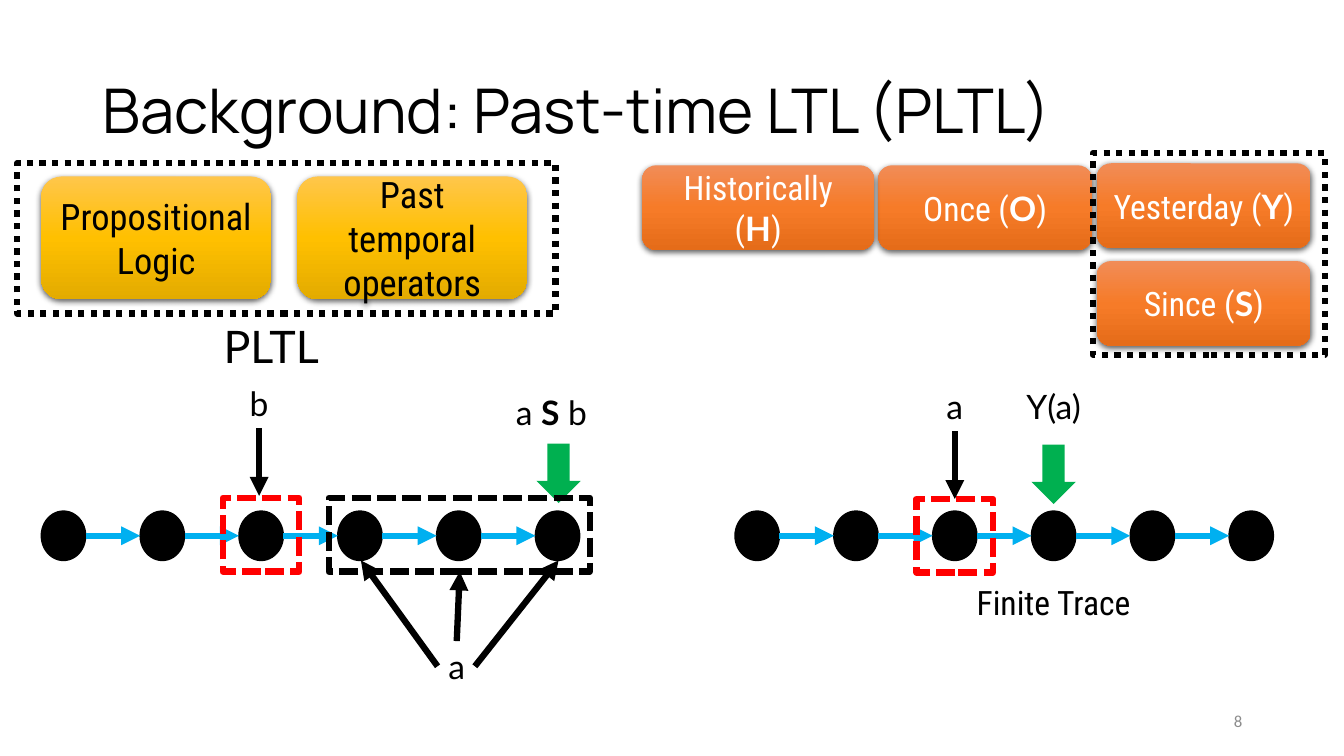
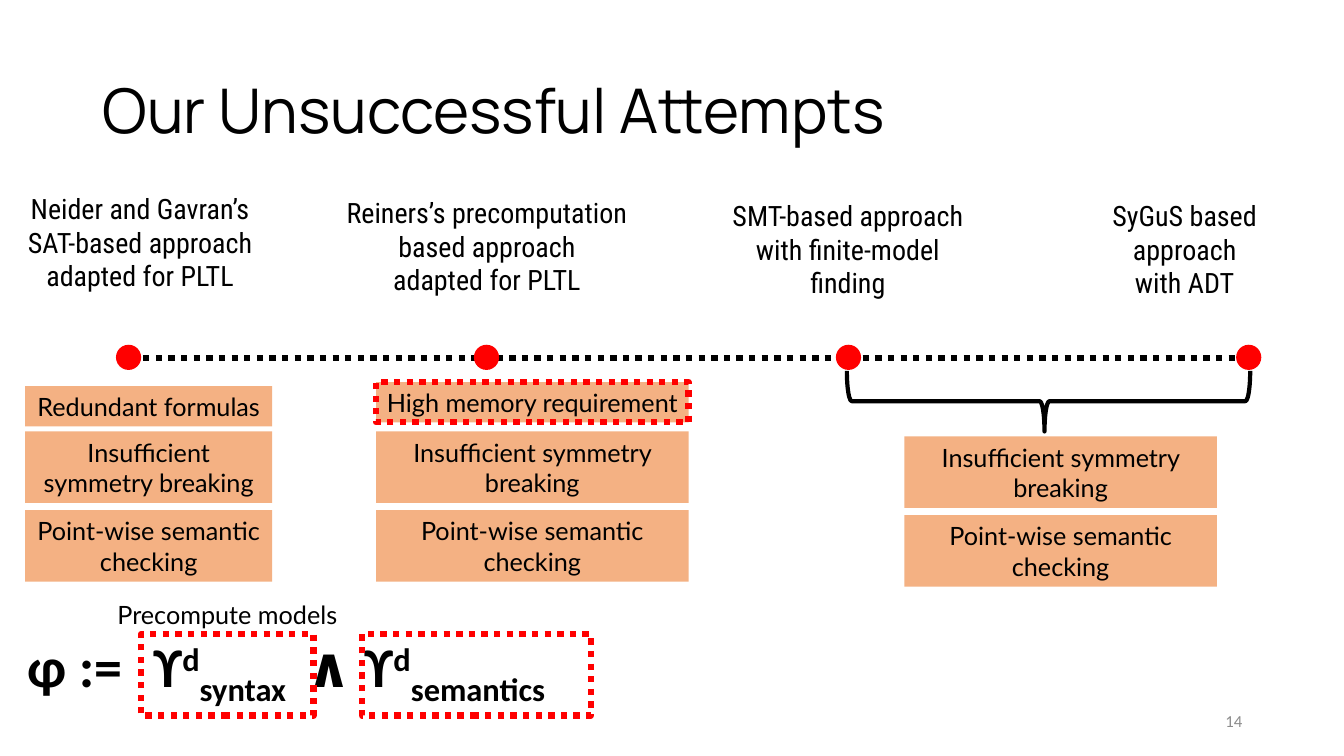
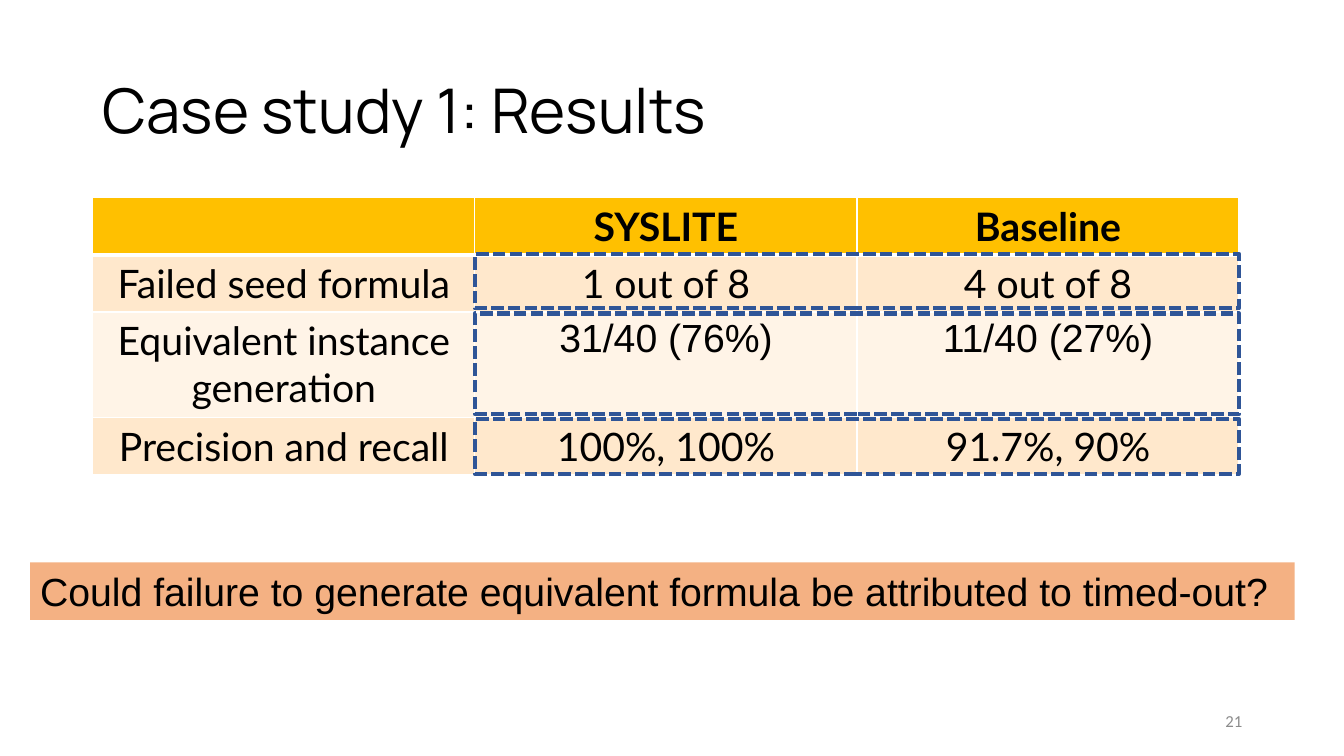
from pptx import Presentation
from pptx.dml.color import RGBColor
from pptx.enum.dml import MSO_LINE
from pptx.enum.shapes import MSO_CONNECTOR, MSO_SHAPE
from pptx.enum.text import MSO_ANCHOR, PP_ALIGN
from pptx.oxml import parse_xml
from pptx.oxml.ns import nsdecls
from pptx.util import Inches, Pt

# Shared look
BLACK = RGBColor(0x00, 0x00, 0x00)
WHITE = RGBColor(0xFF, 0xFF, 0xFF)
GREY = RGBColor(0x8C, 0x8C, 0x8C)
RED = RGBColor(0xFF, 0x00, 0x00)
GREEN = RGBColor(0x00, 0xB0, 0x50)
SKY = RGBColor(0x00, 0xB0, 0xF0)
NAVY = RGBColor(0x2F, 0x55, 0x97)
PEACH = RGBColor(0xF4, 0xB1, 0x83)
GOLD = RGBColor(0xFF, 0xC0, 0x00)
BAND_DARK = RGBColor(0xFF, 0xE8, 0xCC)
BAND_LIGHT = RGBColor(0xFF, 0xF4, 0xE7)
GOLD_SHADES = (RGBColor(0xFF, 0xC6, 0x4B), GOLD, RGBColor(0xE3, 0xAB, 0x00))
ORANGE_SHADES = (RGBColor(0xF1, 0x8C, 0x57), RGBColor(0xF6, 0x7B, 0x28),
                 RGBColor(0xE5, 0x6C, 0x19))
TITLE_FONT, NUMBER_FONT = "Manrope", "Calibri"
BODY_FONT, TILE_FONT = "Lato", "Roboto Condensed"
DOTS, DASHES = MSO_LINE.ROUND_DOT, MSO_LINE.SQUARE_DOT
THICK = 4.5
LEFT, CENTER, RIGHT = PP_ALIGN.LEFT, PP_ALIGN.CENTER, PP_ALIGN.RIGHT
TOP, MIDDLE = MSO_ANCHOR.TOP, MSO_ANCHOR.MIDDLE

# Slide 1: operators and traces
LOGIC_TILES = [("Propositional Logic", 0.41), ("Past temporal operators", 2.95)]
OPERATOR_TILES = [  # name, symbol, left, top, width
    ("Yesterday", "Y", 10.88, 1.62, 2.12),
    ("Once", "O", 8.71, 1.64, 2.12),
    ("Historically", "H", 6.37, 1.64, 2.3),
    ("Since", "S", 10.88, 2.59, 2.12),
]
TRACE_LEFTS = (0.41, 7.29)
NODE_COUNT, NODE_PITCH, NODE_WIDTH, NODE_HEIGHT, NODE_TOP = 6, 0.98, 0.44, 0.49, 5.07
NOW_ARROWS = [(10.23, 4.41), (5.32, 4.4)]
TRACE_LABELS = [  # text, centre, top, size, font
    ("PLTL", 2.69, 3.11, 32, BODY_FONT),
    ("Finite Trace", 10.45, 5.72, 24, TILE_FONT),
    ("Y(a)", 10.45, 3.78, 24, BODY_FONT),
    ("a", 9.47, 3.78, 24, BODY_FONT),
    ([("a ", {}), ("S", {"bold": True}), (" b", {})], 5.47, 3.84, 24, BODY_FONT),
    ("b", 2.57, 3.75, 24, BODY_FONT),
    ("a", 4.53, 6.36, 24, BODY_FONT),
]
TRACE_FRAMES = [  # place, colour, dash
    ((0.17, 1.62, 5.34, 1.49), BLACK, DOTS),
    ((10.84, 1.52, 2.3, 2), BLACK, DOTS),
    ((9.09, 4.95, 0.76, 0.73), RED, DASHES),
    ((3.26, 4.94, 2.59, 0.73), BLACK, DASHES),
    ((2.21, 4.94, 0.76, 0.73), RED, DASHES),
]
POINTERS = [
    ((9.47, 4.28), (9.47, 4.95)),
    ((2.57, 4.25), (2.57, 4.92)),
    ((4.34, 6.61), (3.58, 5.56)),
    ((4.53, 6.36), (4.56, 5.67)),
    ((4.71, 6.61), (5.54, 5.56)),
]

# Slide 2: timeline of attempts
ATTEMPTS = [  # lines, text centre, top, width, dot left
    (["Neider and Gavran’s", "SAT-based approach", "adapted for PLTL"],
     1.39, 1.85, 2.6, 1.15),
    (["Reiners’s precomputation", "based approach", "adapted for PLTL"],
     4.83, 1.89, 3.2, 4.7),
    (["SMT-based approach", "with finite-model finding"], 8.41, 1.92, 2.7, 8.29),
    (["SyGuS based approach", "with ADT"], 11.75, 1.92, 2.3, 12.26),
]
SYMMETRY, CHECKING = "Insufficient symmetry breaking", "Point-wise semantic checking"
PROBLEMS = [  # left, width, cards of (text, top, height)
    (0.25, 2.45, [("Redundant formulas", 3.83, 0.4),
                  (SYMMETRY, 4.28, 0.71), (CHECKING, 5.06, 0.71)]),
    (3.73, 3.1, [("High memory requirement", 3.79, 0.4),
                 (SYMMETRY, 4.28, 0.71), (CHECKING, 5.06, 0.71)]),
    (8.97, 3.1, [(SYMMETRY, 4.33, 0.71), (CHECKING, 5.11, 0.71)]),
]
FORMULA = [
    ("φ :=\tϒ", {}), ("d", {"baseline": 30}), ("syntax ", {"baseline": -25}),
    (" ∧ ϒ", {}), ("d", {"baseline": 30}), ("semantics", {"baseline": -25}),
]
FORMULA_FRAMES = [(1.4, 6.29, 1.71, 0.81), (3.59, 6.29, 2.27, 0.81)]
HIGHLIGHTED = "High memory requirement"

# Slide 3: results
RESULTS = [
    ("", "SYSLITE", "Baseline"),
    ("Failed seed formula", "1 out of 8", "4 out of 8"),
    ("Equivalent instance generation", "31/40 (76%)", "11/40 (27%)"),
    ("Precision and recall", "100%, 100%", "91.7%, 90%"),
]
ROW_FILLS = (GOLD, BAND_DARK, BAND_LIGHT, BAND_DARK)
ROW_HEIGHTS = (0.56, 0.56, 1.05, 0.56)
TABLE_LEFT, TABLE_TOP, COLUMN_WIDTH = 0.92, 1.96, 3.79
ROW_FRAMES = [(2.52, 0.54), (3.11, 1), (4.16, 0.54)]
QUESTION = "Could failure to generate equivalent formula be attributed to timed-out?"


def inches(values):
    return [Inches(value) for value in values]


def write(frame, lines, size, font=BODY_FONT, color=BLACK, align=CENTER,
          anchor=MIDDLE, bold=False):
    """Fill a frame; a line is a string or a list of (text, style) pieces."""
    frame.word_wrap = True
    frame.vertical_anchor = anchor
    for index, line in enumerate(lines):
        para = frame.add_paragraph() if index else frame.paragraphs[0]
        para.alignment = align
        pieces = [(line, {})] if isinstance(line, str) else line
        for text, style in pieces:
            span = para.add_run()
            span.text = text
            span.font.name = style.get("font", font)
            span.font.size = Pt(size)
            span.font.bold = style.get("bold", bold)
            span.font.color.rgb = color
            if "baseline" in style:
                properties = span.font._element
                properties.set("baseline", str(style["baseline"] * 1000))


def add_text(page, place, lines, size, **style):
    box = page.shapes.add_textbox(*inches(place))
    write(box.text_frame, lines, size, **style)
    return box


def add_block(page, kind, place, fill=None, line=None, width=THICK, dash=None):
    block = page.shapes.add_shape(kind, *inches(place))
    block.shadow.inherit = False
    if fill is None:
        block.fill.background()
    else:
        block.fill.solid()
        block.fill.fore_color.rgb = fill
    if line is None:
        block.line.fill.background()
    else:
        block.line.color.rgb = line
        block.line.width = Pt(width)
        if dash is not None:
            block.line.dash_style = dash
    return block


def add_frame(page, place, color, dash, width=THICK):
    return add_block(page, MSO_SHAPE.RECTANGLE, place, None, color, width, dash)


def add_tile(page, place, shades, line, size, color):
    """Rounded tile with a vertical gradient and a soft shadow."""
    tile = add_block(page, MSO_SHAPE.ROUNDED_RECTANGLE, place, shades[1])
    stops = "".join(
        f'<a:gs pos="{position}"><a:srgbClr val="{shade}"/></a:gs>'
        for position, shade in zip((0, 50000, 100000), shades))
    properties = tile._element.spPr
    solid = properties.find("{*}solidFill")
    properties.replace(solid, parse_xml(
        f'<a:gradFill {nsdecls("a")} rotWithShape="1"><a:gsLst>{stops}</a:gsLst>'
        '<a:lin ang="5400000" scaled="0"/></a:gradFill>'))
    properties.find("{*}effectLst").append(parse_xml(
        f'<a:outerShdw {nsdecls("a")} blurRad="{Pt(4.5)}" dist="{Pt(1.5)}" '
        'dir="5400000" algn="ctr" rotWithShape="0"><a:srgbClr val="000000">'
        '<a:alpha val="63000"/></a:srgbClr></a:outerShdw>'))
    write(tile.text_frame, [line], size, TILE_FONT, color)


def add_line(page, start, end, color, dash=None, arrow=True):
    line = page.shapes.add_connector(MSO_CONNECTOR.STRAIGHT, *inches(start + end))
    line.line.color.rgb = color
    line.line.width = Pt(THICK)
    if dash is not None:
        line.line.dash_style = dash
    if arrow:
        line.line._get_or_add_ln().append(
            parse_xml(f'<a:tailEnd {nsdecls("a")} type="triangle"/>'))
    line._element.spPr.append(parse_xml(f'<a:effectLst {nsdecls("a")}/>'))


def add_page(deck, title, number):
    page = deck.slides.add_slide(deck.slide_layouts[6])
    box = add_text(page, (0.92, 0.4, 11.5, 1.45), [title], 44, font=TITLE_FONT,
                   align=LEFT)
    box.text_frame.paragraphs[0].line_spacing = 0.9
    add_text(page, (9.42, 6.95, 3, 0.4), [number], 12, font=NUMBER_FONT,
             color=GREY, align=RIGHT)
    return page


def add_trace(page, left):
    middle = NODE_TOP + NODE_HEIGHT / 2
    for index in range(NODE_COUNT):
        x = left + index * NODE_PITCH
        add_block(page, MSO_SHAPE.OVAL, (x, NODE_TOP, NODE_WIDTH, NODE_HEIGHT),
                  BLACK, BLACK, 1)
        if index:
            add_line(page, (x - NODE_PITCH + NODE_WIDTH, middle), (x, middle), SKY)


def build_background(deck):
    page = add_page(deck, "Background: Past-time LTL (PLTL)", "8")
    for text, left in LOGIC_TILES:
        add_tile(page, (left, 1.75, 2.28, 1.22), GOLD_SHADES, text, 26, BLACK)
    for name, symbol, left, top, width in OPERATOR_TILES:
        line = [(f"{name} (", {}), (symbol, {"font": BODY_FONT, "bold": True}),
                (")", {})]
        add_tile(page, (left, top, width, 0.84), ORANGE_SHADES, line, 24, WHITE)
    for left in TRACE_LEFTS:
        add_trace(page, left)
    for left, top in NOW_ARROWS:
        add_block(page, MSO_SHAPE.DOWN_ARROW, (left, top, NODE_WIDTH, 0.59), GREEN)
    for place, color, dash in TRACE_FRAMES:
        add_frame(page, place, color, dash)
    for line, center, top, size, font in TRACE_LABELS:
        add_text(page, (center - 1, top, 2, 0.5), [line], size, font=font, anchor=TOP)
    for start, end in POINTERS:
        add_line(page, start, end, BLACK)


def build_attempts(deck):
    page = add_page(deck, "Our Unsuccessful Attempts", "14")
    # Formula with its framed parts
    formula = add_text(page, (0.17, 6.22, 5.82, 1.13), [FORMULA], 40,
                       font=NUMBER_FONT, align=LEFT, anchor=TOP, bold=True)
    formula.text_frame.paragraphs[0]._p.get_or_add_pPr().append(parse_xml(
        f'<a:tabLst {nsdecls("a")}><a:tab pos="{Inches(1.25)}" algn="l"/></a:tabLst>'))
    for place in FORMULA_FRAMES:
        add_frame(page, place, RED, DOTS)
    add_text(page, (0.94, 5.9, 2.63, 0.4), ["Precompute models"], 18, anchor=TOP)
    # Timeline
    add_line(page, (1.17, 3.55), (12.38, 3.55), BLACK, DOTS, arrow=False)
    for lines, center, top, width, dot_left in ATTEMPTS:
        add_block(page, MSO_SHAPE.OVAL, (dot_left, 3.42, 0.25, 0.25), RED)
        add_text(page, (center - width / 2, top, width, 1.11), lines, 20,
                 font=TILE_FONT, anchor=TOP)
    # Problem cards
    for left, width, cards in PROBLEMS:
        for text, top, height in cards:
            outline = RED if text == HIGHLIGHTED else None
            card = add_block(page, MSO_SHAPE.RECTANGLE, (left, top, width, height),
                             PEACH, outline, dash=DOTS)
            write(card.text_frame, [text], 18)
    brace = add_block(page, MSO_SHAPE.LEFT_BRACE, (10.1, 1.98, 0.6, 4), None, BLACK, 3)
    brace.adjustments[0], brace.adjustments[1] = 0.08, 0.49
    brace.rotation = 270


def add_borders(cell, bottom):
    properties = cell._tc.get_or_add_tcPr()
    for side, width in (("L", 1), ("R", 1), ("T", 1), ("B", bottom)):
        properties.append(parse_xml(
            f'<a:ln{side} {nsdecls("a")} w="{Pt(width)}"><a:solidFill>'
            f'<a:srgbClr val="{WHITE}"/></a:solidFill></a:ln{side}>'))


def build_results(deck):
    page = add_page(deck, "Case study 1: Results", "21")
    columns = len(RESULTS[0])
    table = page.shapes.add_table(
        len(RESULTS), columns, *inches((TABLE_LEFT, TABLE_TOP, COLUMN_WIDTH * columns,
                                        sum(ROW_HEIGHTS)))).table
    table.horz_banding = False
    for row, texts in enumerate(RESULTS):
        table.rows[row].height = Inches(ROW_HEIGHTS[row])
        for column, text in enumerate(texts):
            cell = table.cell(row, column)
            add_borders(cell, 1 if row else 3)
            cell.fill.solid()
            cell.fill.fore_color.rgb = ROW_FILLS[row]
            font = "Arial" if "/" in text else BODY_FONT
            if text:
                write(cell.text_frame, [text], 28, font, anchor=TOP, bold=row == 0)
    banner = add_block(page, MSO_SHAPE.RECTANGLE, (0.3, 5.58, 12.54, 0.57), PEACH)
    write(banner.text_frame, [QUESTION], 28, "Arial", align=LEFT)
    for top, height in ROW_FRAMES:
        add_frame(page, (TABLE_LEFT + COLUMN_WIDTH, top, 2 * COLUMN_WIDTH, height),
                  NAVY, DASHES, 3)


def main():
    deck = Presentation()
    deck.slide_width, deck.slide_height = Inches(13.33), Inches(7.5)
    build_background(deck)
    build_attempts(deck)
    build_results(deck)
    deck.save("out.pptx")


if __name__ == "__main__":
    main()
